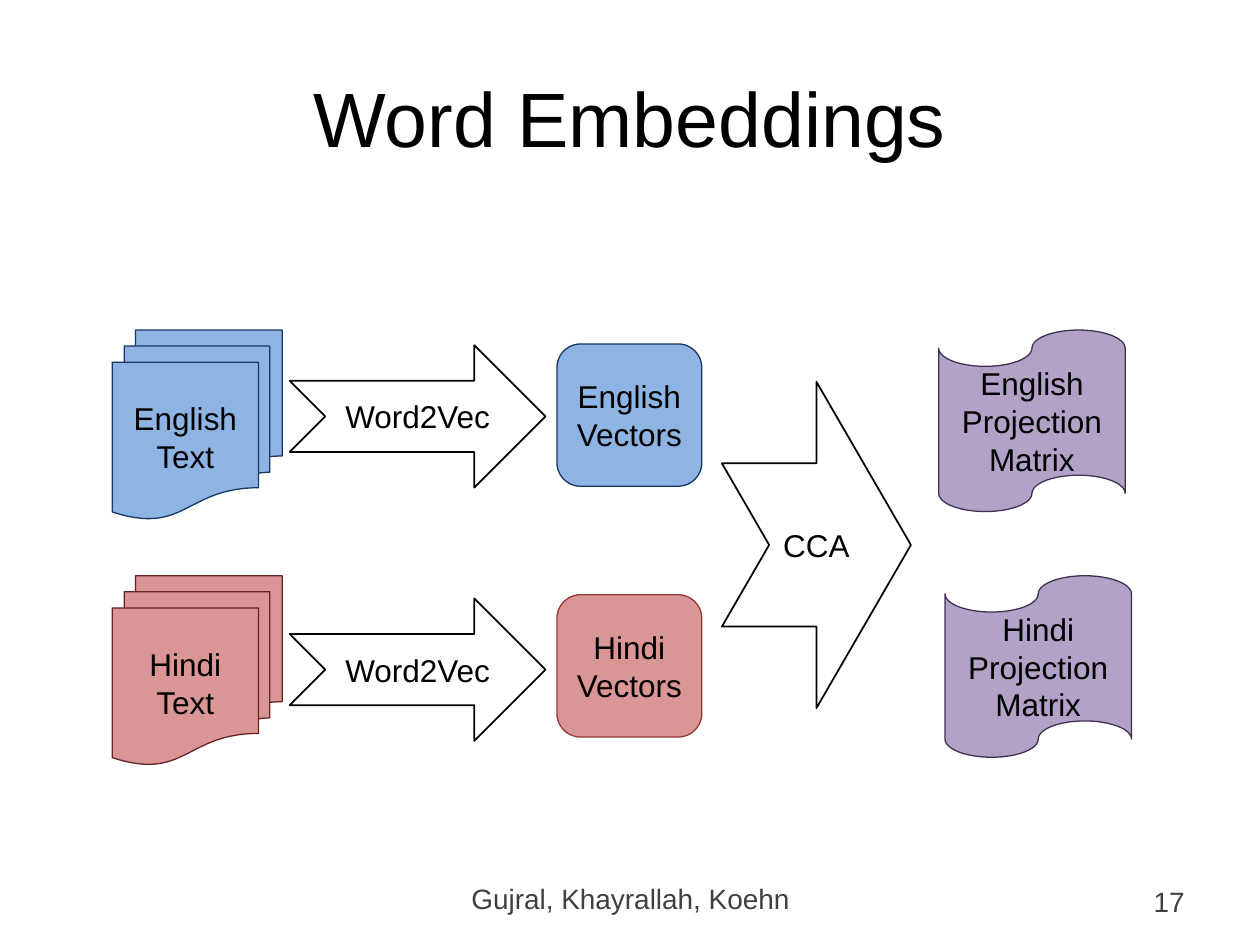
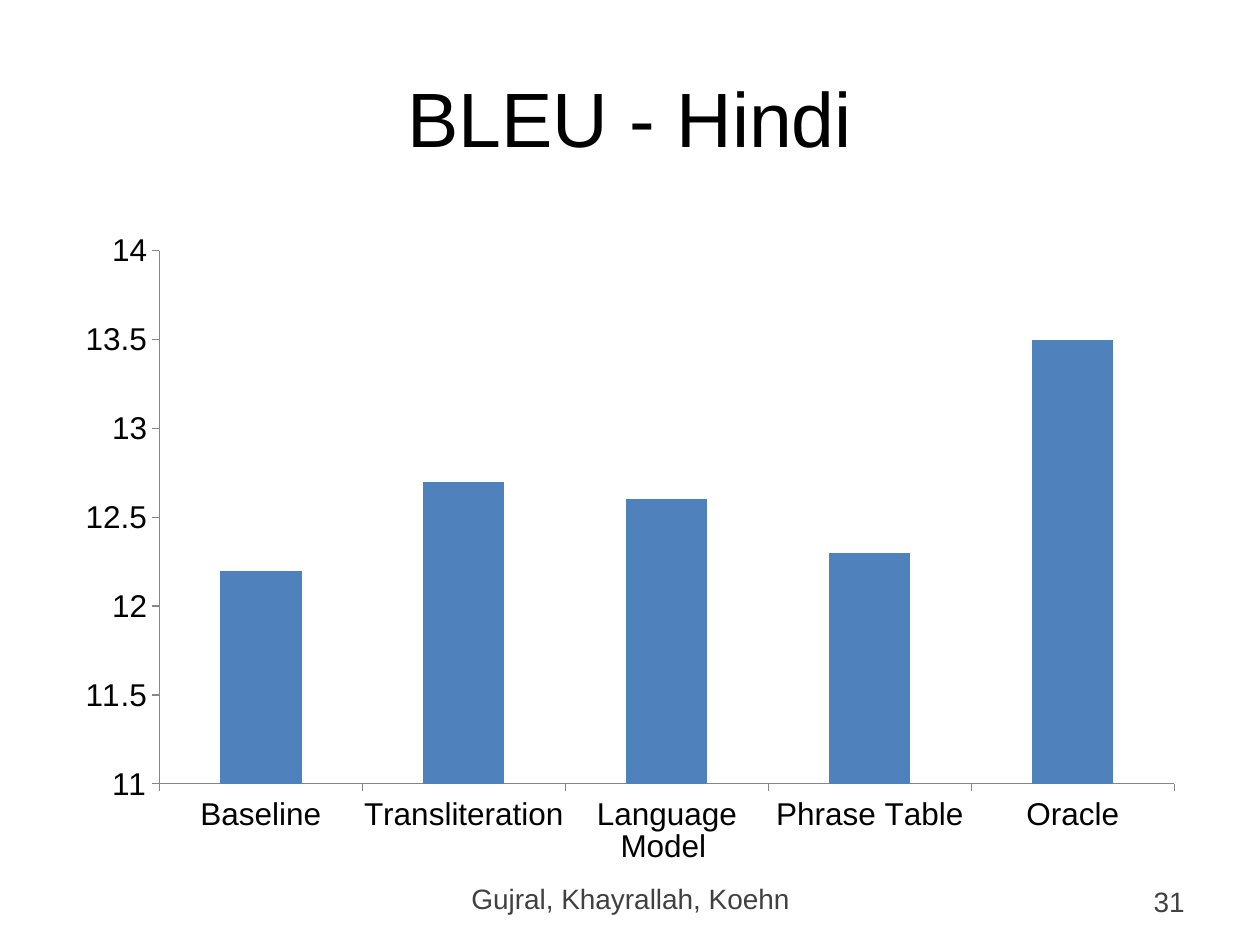
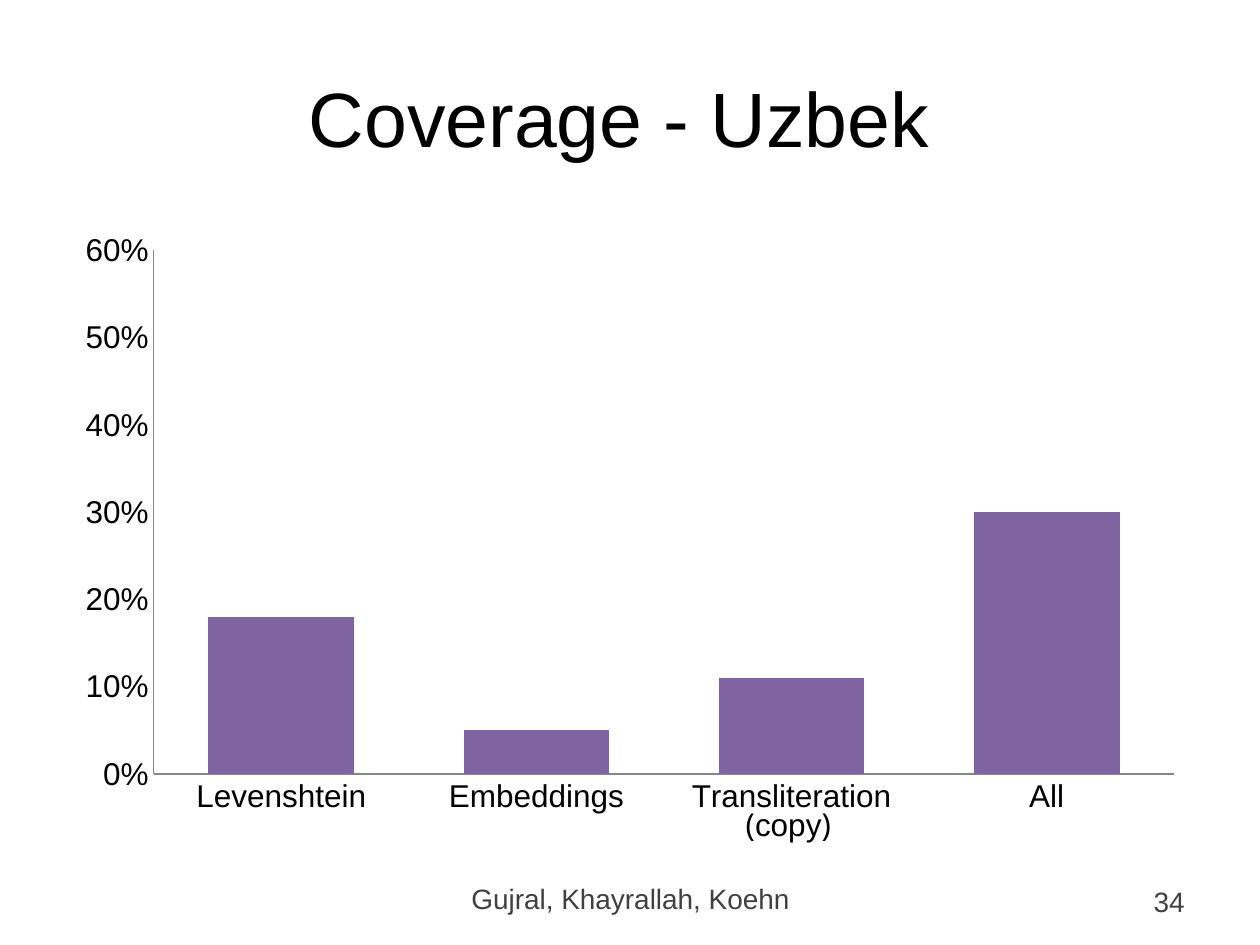
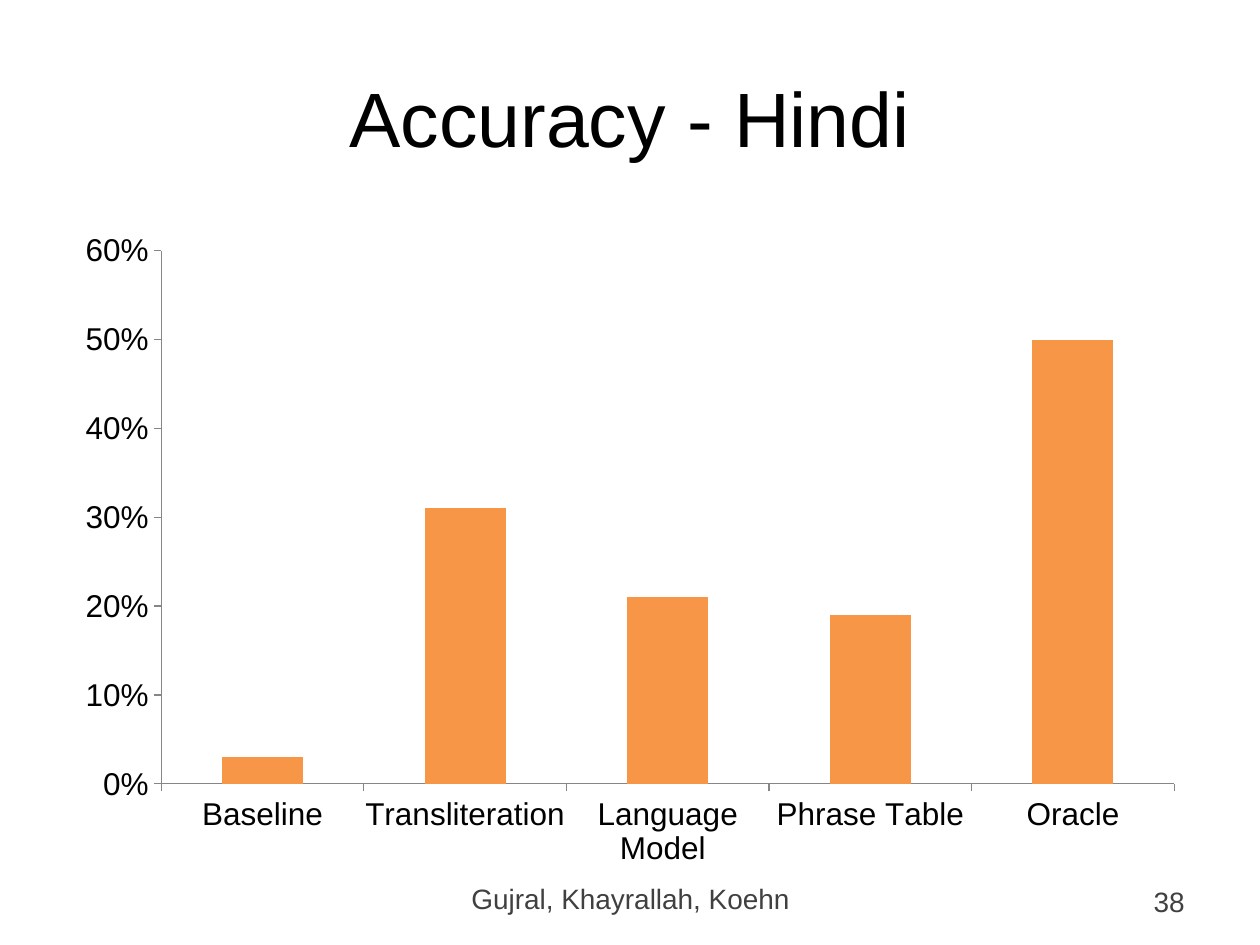
import pptx
import pptx.chart.data
import pptx.dml.color
import pptx.enum.chart
import pptx.enum.shapes
import pptx.enum.text
import pptx.util

Inches = pptx.util.Inches
Pt = pptx.util.Pt
RGBColor = pptx.dml.color.RGBColor
Preset = pptx.enum.shapes.MSO_SHAPE
Align = pptx.enum.text.PP_ALIGN
Anchor = pptx.enum.text.MSO_ANCHOR
Tick = pptx.enum.chart.XL_TICK_MARK

FONT = "Arial"
BLACK = RGBColor(0x00, 0x00, 0x00)
FOOTER_GRAY = RGBColor(0x40, 0x40, 0x40)
AXIS_GRAY = RGBColor(0x86, 0x86, 0x86)
ENGLISH_BLUE = RGBColor(0x8E, 0xB4, 0xE3)
ENGLISH_EDGE = RGBColor(0x17, 0x37, 0x5E)
HINDI_RED = RGBColor(0xD9, 0x96, 0x94)
HINDI_TEXT_EDGE = RGBColor(0x63, 0x25, 0x23)
HINDI_VECTOR_EDGE = RGBColor(0x95, 0x37, 0x35)
MATRIX_PURPLE = RGBColor(0xB3, 0xA2, 0xC7)
MATRIX_EDGE = RGBColor(0x40, 0x31, 0x52)
BLEU_BLUE = RGBColor(0x4F, 0x81, 0xBD)
COVERAGE_PURPLE = RGBColor(0x80, 0x64, 0xA2)
ACCURACY_ORANGE = RGBColor(0xF7, 0x96, 0x46)


def write(holder, text, size=18, color=BLACK, align=Align.CENTER, anchor=Anchor.MIDDLE):
    frame = holder.text_frame
    frame.text = text
    frame.word_wrap = True
    frame.vertical_anchor = anchor
    for paragraph in frame.paragraphs:
        paragraph.alignment = align
        for run in paragraph.runs:
            run.font.name = FONT
            run.font.size = Pt(size)
            run.font.color.rgb = color


def add_step(slide, preset, box, text, fill, edge, width=0.75):
    step = slide.shapes.add_shape(preset, *map(Inches, box))
    step.shadow.inherit = False
    if fill is None:
        step.fill.background()
    else:
        step.fill.solid()
        step.fill.fore_color.rgb = fill
    step.line.color.rgb = edge
    step.line.width = Pt(width)
    write(step, text)


prs = pptx.Presentation()
prs.slide_width, prs.slide_height = Inches(10), Inches(7.5)

# Title, footer and page number of every slide
slides = []
for title, number in [("Word Embeddings", "17"), ("BLEU - Hindi", "31"),
                      ("Coverage - Uzbek ", "34"), ("Accuracy - Hindi", "38")]:
    slide = prs.slides.add_slide(prs.slide_layouts[6])
    slides.append(slide)
    for box, text, size, color, align, anchor in [
        ((7.17, 6.95, 2.33, 0.4), number, 16, FOOTER_GRAY, Align.RIGHT, Anchor.MIDDLE),
        ((0.5, 0.3, 9, 1.25), title, 44, BLACK, Align.CENTER, Anchor.MIDDLE),
        ((3.42, 6.95, 3.17, 0.4), "Gujral, Khayrallah, Koehn", 16, FOOTER_GRAY,
         Align.CENTER, Anchor.TOP),
    ]:
        write(slide.shapes.add_textbox(*map(Inches, box)), text, size, color, align, anchor)

embeddings, bleu, coverage, accuracy = slides

# Word Embeddings: one row per language, joined by CCA
for (language, text_break, text_top, arrow_top, vector_top, matrix_left,
     fill, text_edge, vector_edge) in [
    ("English", " ", 2.62, 2.74, 2.73, 7.45, ENGLISH_BLUE, ENGLISH_EDGE, ENGLISH_EDGE),
    ("Hindi", "\n", 4.57, 4.75, 4.72, 7.5, HINDI_RED, HINDI_TEXT_EDGE, HINDI_VECTOR_EDGE),
]:
    add_step(embeddings, Preset.FLOWCHART_MULTIDOCUMENT, (0.89, text_top, 1.35, 1.5),
             language + text_break + "Text", fill, text_edge)
    add_step(embeddings, Preset.NOTCHED_RIGHT_ARROW, (2.3, arrow_top, 2.03, 1.13),
             "Word2Vec", None, BLACK, 1)
    add_step(embeddings, Preset.ROUNDED_RECTANGLE, (4.42, vector_top, 1.15, 1.13),
             language + text_break + "Vectors", fill, vector_edge)
    add_step(embeddings, Preset.FLOWCHART_PUNCHED_TAPE, (matrix_left, text_top, 1.48, 1.44),
             language + " Projection\nMatrix", MATRIX_PURPLE, MATRIX_EDGE)
add_step(embeddings, Preset.NOTCHED_RIGHT_ARROW, (5.73, 3.03, 1.5, 2.59), "CCA", None, BLACK, 1)

# Column charts
systems = ["Baseline", "Transliteration", "Language", "Phrase Table", "Oracle"]
methods = ["Levenshtein", "Embeddings", "Transliteration", "All"]
for (slide, categories, values, color, height, gap, tick, number_format,
     low, high, step) in [
    (bleu, systems, (12.2, 12.7, 12.6, 12.3, 13.5), BLEU_BLUE, 4.95, 150,
     Tick.OUTSIDE, "General", 11, 14, 0.5),
    (coverage, methods, (0.18, 0.05, 0.11, 0.3), COVERAGE_PURPLE, 4.81, 75,
     Tick.NONE, "0%", 0, 0.6, 0.1),
    (accuracy, systems, (0.03, 0.31, 0.21, 0.19, 0.5), ACCURACY_ORANGE, 4.95, 150,
     Tick.OUTSIDE, "0%", 0, 0.6, 0.1),
]:
    scores = pptx.chart.data.CategoryChartData()
    scores.categories = categories
    scores.add_series("Series 1", values)
    chart = slide.shapes.add_chart(
        pptx.enum.chart.XL_CHART_TYPE.COLUMN_CLUSTERED,
        Inches(0.5), Inches(1.75), Inches(9), Inches(height), scores).chart
    chart.has_title = False
    chart.has_legend = False
    chart.font.name = FONT
    chart.font.size = Pt(18)
    chart.font.color.rgb = BLACK

    columns = chart.plots[0]
    columns.gap_width = gap
    columns.vary_by_categories = False
    columns.series[0].format.fill.solid()
    columns.series[0].format.fill.fore_color.rgb = color

    for axis in (chart.category_axis, chart.value_axis):
        axis.has_major_gridlines = False
        axis.major_tick_mark = tick
        axis.minor_tick_mark = Tick.NONE
        axis.format.line.color.rgb = AXIS_GRAY
        axis.format.line.width = Pt(0.75)
    score_axis = chart.value_axis
    score_axis.minimum_scale, score_axis.maximum_scale = low, high
    score_axis.major_unit = step
    score_axis.tick_labels.number_format = number_format
    score_axis.tick_labels.number_format_is_linked = False

# Second lines of the category labels
for slide, left, top, width, text in [(bleu, 4.82, 6.51, 0.89, "Model"),
                                      (accuracy, 4.59, 6.52, 1.34, "Model")]:
    label = slide.shapes.add_textbox(Inches(left), Inches(top), Inches(width), Inches(0.4))
    write(label, text, anchor=Anchor.TOP)

copy_label = coverage.shapes.add_textbox(Inches(5.82), Inches(6.34), Inches(1.07), Inches(0.4))
copy_label.text_frame.word_wrap = True
for text, font in [("(", "Open Sans"), ("copy", FONT), (")", "Open Sans")]:
    run = copy_label.text_frame.paragraphs[0].add_run()
    run.text = text
    run.font.name = font
    run.font.size = Pt(18)
    run.font.color.rgb = BLACK

prs.save("out.pptx")
